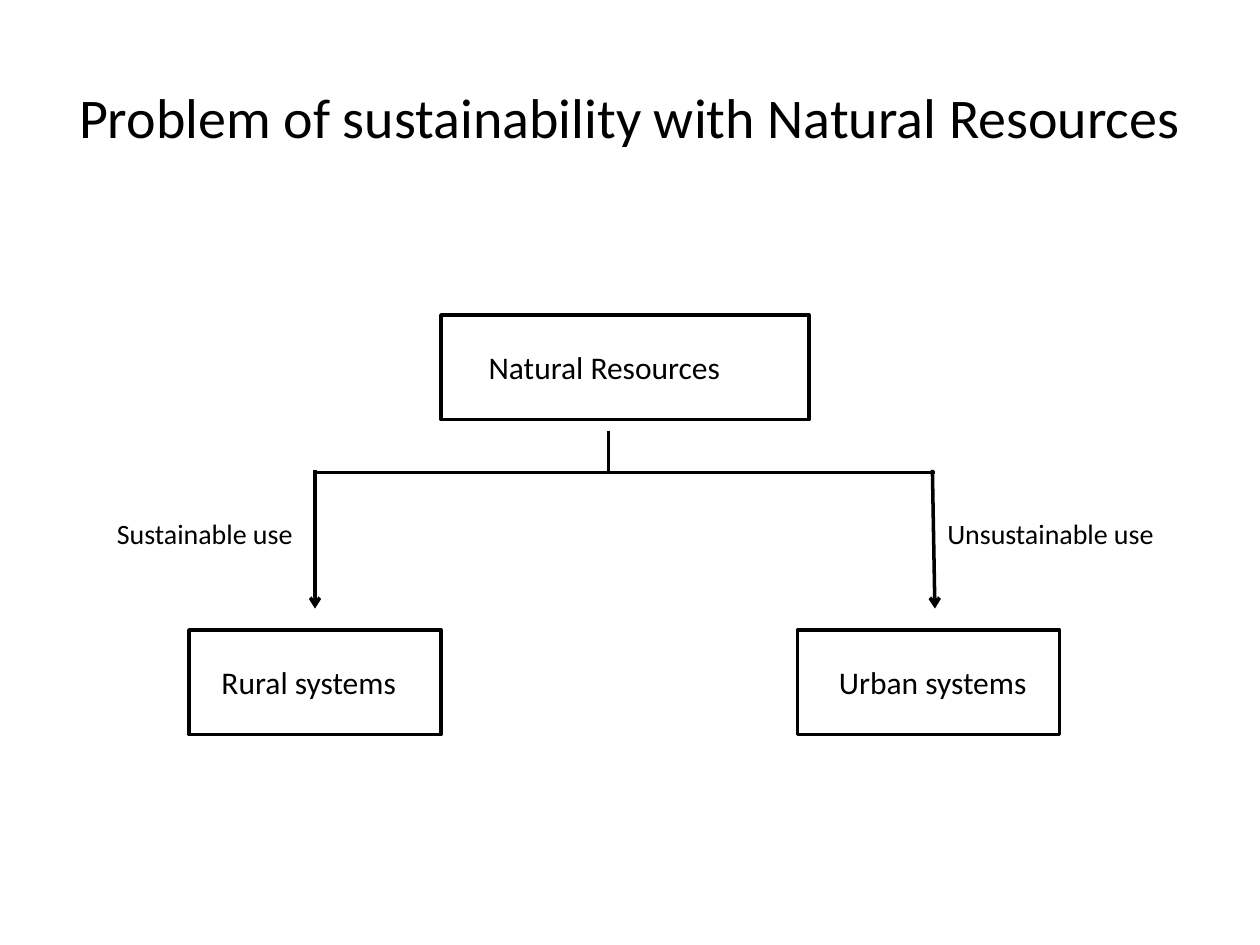
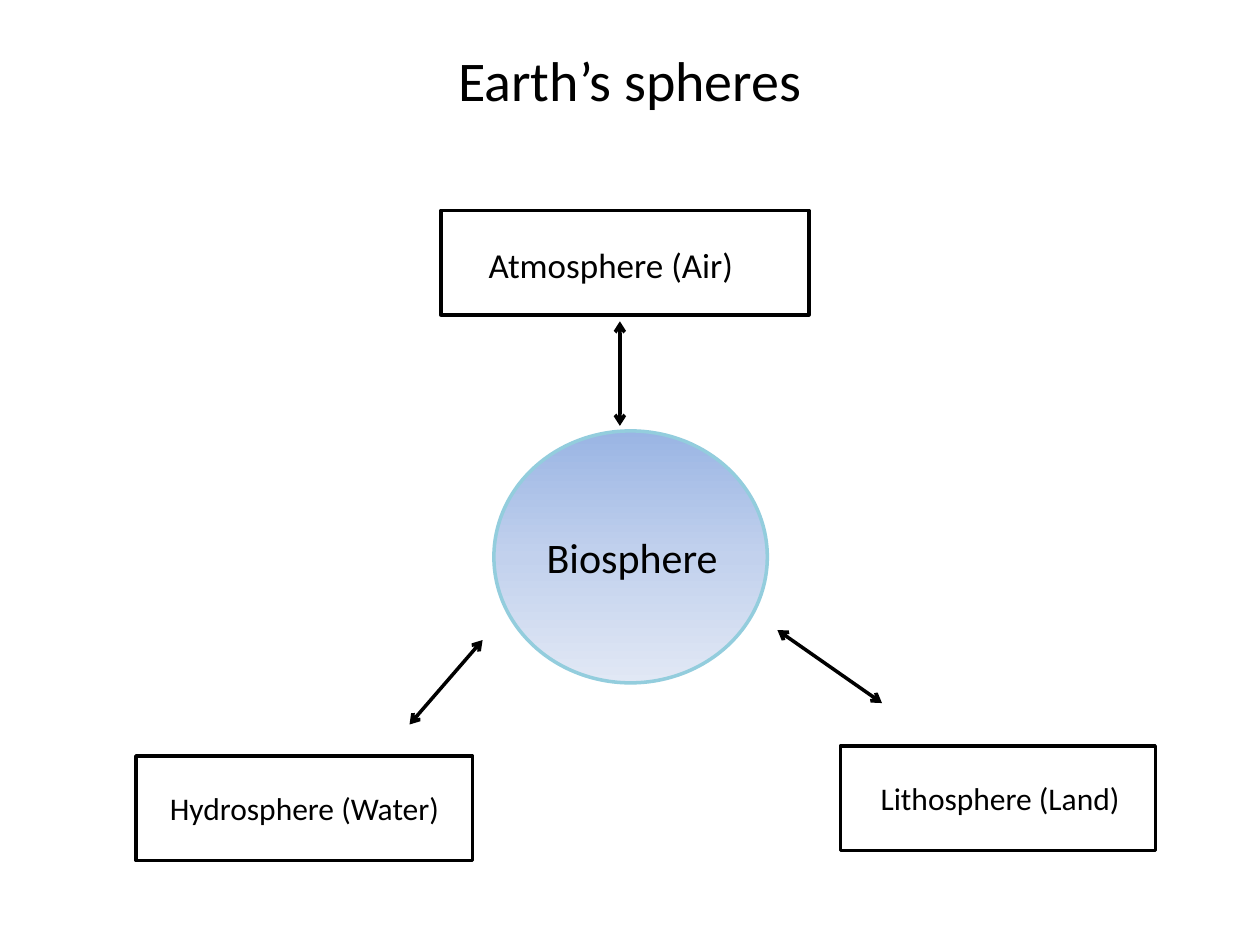
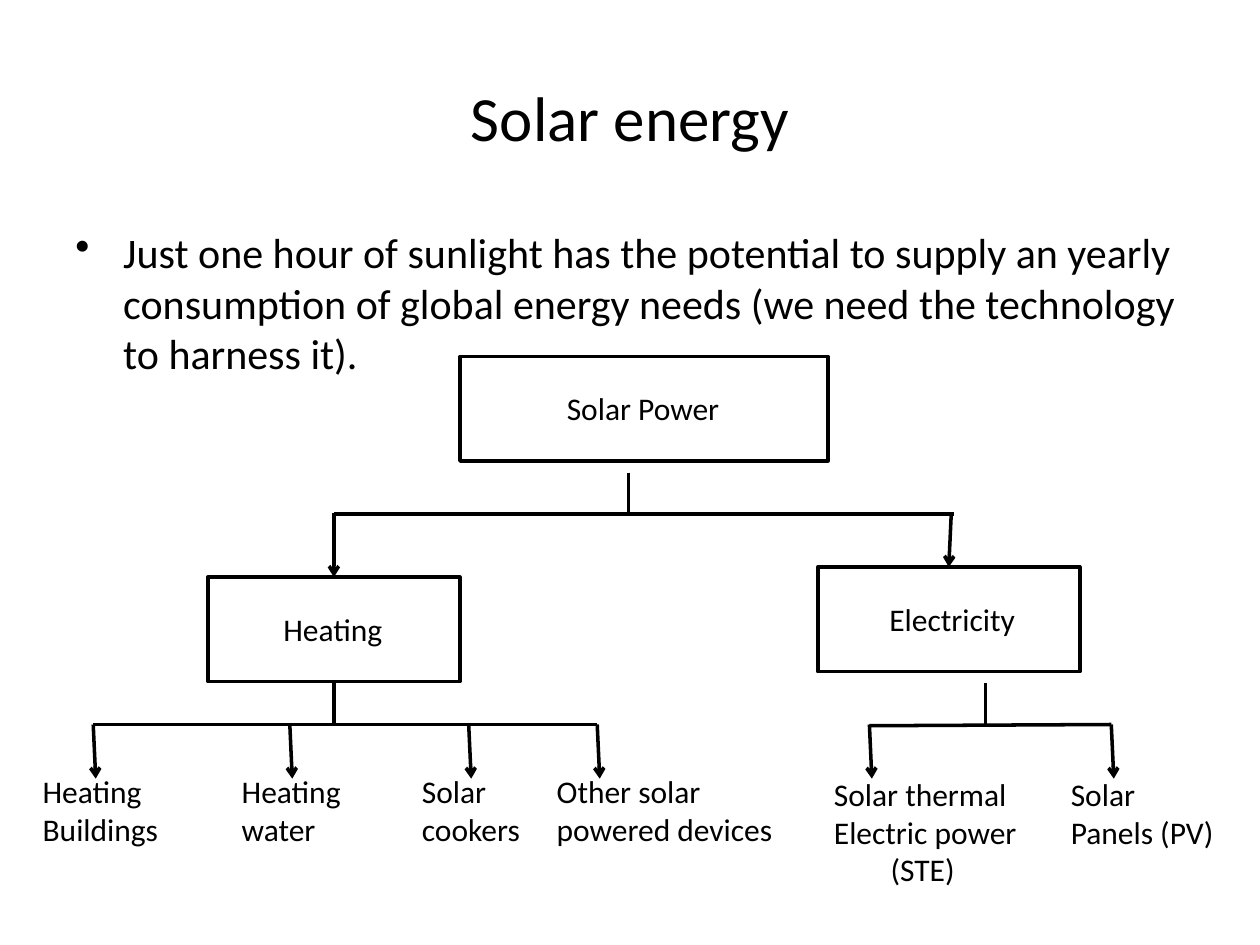
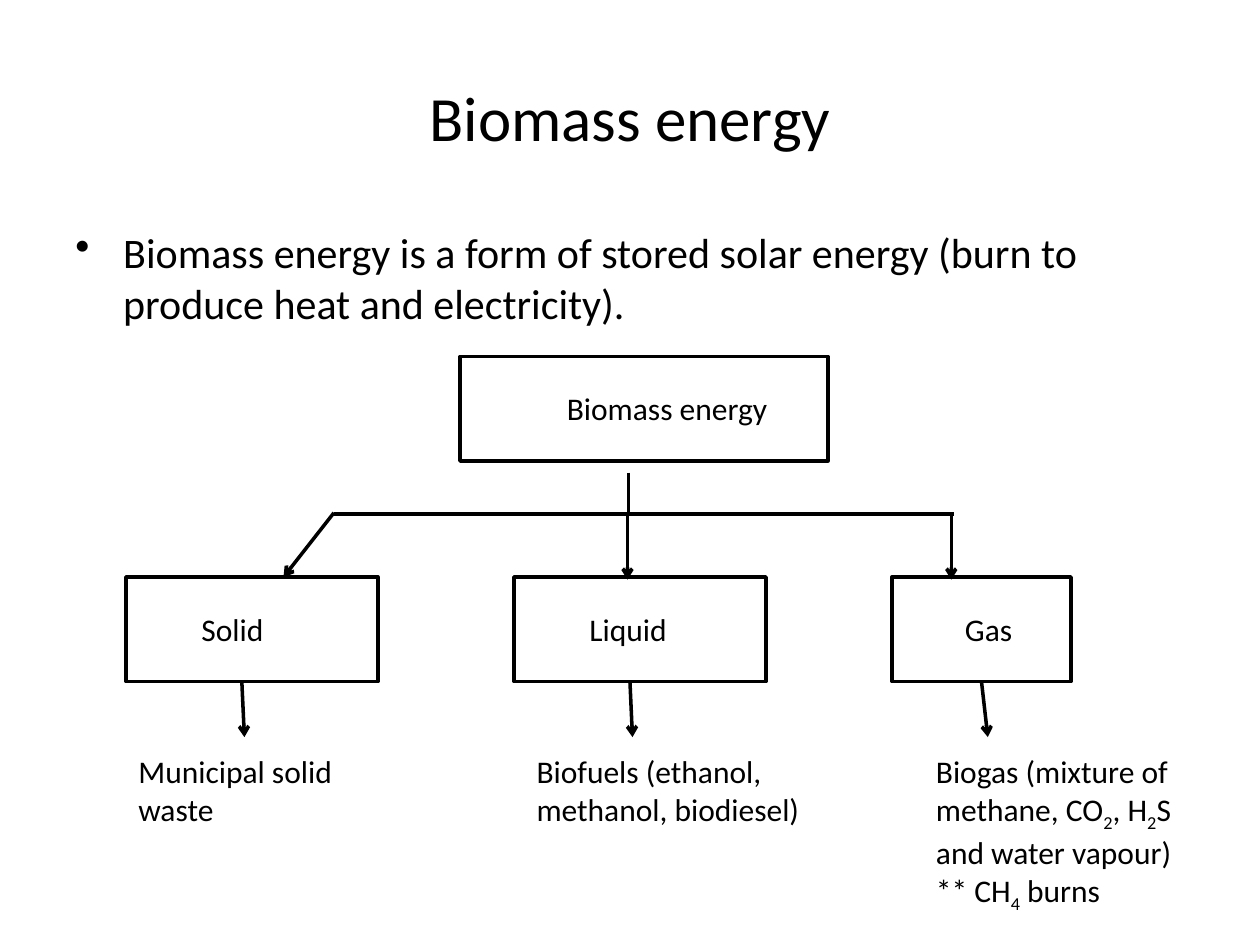
"""Build four slides on natural resources, Earth's spheres, solar and biomass energy."""
from copy import deepcopy
from math import dist

from pptx import Presentation
from pptx import util as u
from pptx.dml.color import RGBColor
from pptx.enum import shapes, text
from pptx.oxml.ns import qn
from pptx.oxml.xmlchemy import OxmlElement

FONT = "Calibri"
COLORS = {"ink": "000000", "rim": "93CDDD", "sky": "9AB5E4", "haze": "C2D1ED", "mist": "E1E8F5"}
BOX_HEIGHT = 0.83
JOIN_DISTANCE = 0.05


def write(frame, content, size=18, wrap=False, bullet=False, indents=None):
    """Fill a text frame; text between tildes is subscript."""
    frame.word_wrap = wrap
    for number, line in enumerate(content.split("\n")):
        paragraph = frame.paragraphs[0] if number == 0 else frame.add_paragraph()
        properties = paragraph._p.get_or_add_pPr()
        if bullet:
            properties.set("marL", str(u.Inches(0.38)))
            properties.set("indent", str(-u.Inches(0.38)))
            mark = OxmlElement("a:buChar")
            mark.set("char", "•")
            properties.append(mark)
        elif indents and number in indents:
            properties.set("marL", str(u.Inches(indents[number])))
        for part, words in enumerate(line.split("~")):
            run = paragraph.add_run()
            run.text = words
            run.font.name = FONT
            run.font.size = u.Pt(size)
            run.font.color.rgb = RGBColor.from_string(COLORS["ink"])
            if part % 2:
                run.font._element.set("baseline", "-25000")


def connect(slide, boxes, x1, y1, x2, y2, ends=()):
    """Draw a straight line, joined to any box side whose middle it touches."""
    line = slide.shapes.add_connector(
        shapes.MSO_CONNECTOR.STRAIGHT, *[u.Inches(v) for v in (x1, y1, x2, y2)])
    line.line.color.rgb = RGBColor.from_string(COLORS["ink"])
    line.line.width = u.Pt(2)
    outline = line.line._get_or_add_ln()
    for end in ends:
        arrow = OxmlElement(f"a:{end}")
        arrow.set("type", "arrow")
        outline.append(arrow)
    line._element.spPr.append(OxmlElement("a:effectLst"))
    for box, (x, y, width) in boxes:
        middles = [(x + width / 2, y), (x, y + BOX_HEIGHT / 2),
                   (x + width / 2, y + BOX_HEIGHT), (x + width, y + BOX_HEIGHT / 2)]
        for site, middle in enumerate(middles):
            if dist(middle, (x1, y1)) < JOIN_DISTANCE:
                line.begin_connect(box, site)
            if dist(middle, (x2, y2)) < JOIN_DISTANCE:
                line.end_connect(box, site)


ARROW = ("tailEnd",)
BOTH = ("headEnd", "tailEnd")

DECK = [
    {
        "title": ("Problem of sustainability with Natural Resources", 0.3, 32),
        "boxes": [
            (3.5, 2.5, 2.92, "Natural Resources", 3.78, 2.06, 18),
            (1.5, 5, 2, "Rural systems", 1.66, 1.74, 18),
            (6.33, 5, 2.08, "Urban systems", 6.56, 1.7, 18),
        ],
        "links": [
            (4.83, 3.42, 4.83, 3.75),
            (2.5, 3.75, 7.42, 3.75),
            (2.5, 3.73, 2.5, 4.83, ARROW),
            (7.4, 3.73, 7.42, 4.83, ARROW),
        ],
        "captions": [
            (0.83, 4.05, 1.67, "Sustainable use", {"size": 16, "wrap": True}),
            (7.42, 4.05, 2, "Unsustainable use", {"size": 16, "wrap": True}),
        ],
    },
    {
        "title": ("Earth’s spheres", 0, 32),
        "boxes": [
            (3.5, 1.67, 2.92, "Atmosphere (Air)", 3.78, 2.17, 20),
            (1.08, 6, 2.67, "Hydrosphere (Water)", 1.25, 2.36, 18),
            (6.67, 5.92, 2.5, "Lithosphere (Land)", 6.89, 2.12, 18),
        ],
        "sphere": (3.92, 3.42, 2.17, 2),
        "links": [
            (4.92, 2.55, 4.92, 3.38, BOTH),
            (6.17, 5, 7, 5.58, BOTH),
            (3.83, 5.08, 3.25, 5.75, BOTH),
        ],
        "captions": [(4.24, 4.17, 1.57, "Biosphere", {"size": 24})],
    },
    {
        "title": ("Solar energy", 0.3, 36),
        "point": "Just one hour of sunlight has the potential to supply an yearly consumption "
                 "of global energy needs (we need the technology to harness it).",
        "boxes": [
            (3.65, 2.83, 2.92, "Solar Power", 4.4, 1.42, 18),
            (1.65, 4.58, 2, "Heating", 2.15, 1, 18),
            (6.49, 4.5, 2.08, "Electricity", 6.96, 1.21, 18),
        ],
        "links": [
            (4.99, 3.75, 4.99, 4.08),
            (2.65, 4.08, 7.57, 4.08),
            (2.65, 4.07, 2.65, 4.58, ARROW),
            (7.55, 4.07, 7.57, 4.5, ARROW),
            (2.65, 5.42, 2.65, 5.75),
            (0.74, 5.75, 4.74, 5.75),
            (7.82, 5.42, 7.82, 5.75),
            (6.9, 5.76, 8.82, 5.75),
            *[(x, 5.75, x + 0.02, 6.18, ARROW) for x in (0.74, 2.3, 3.72, 4.74, 6.9, 8.82)],
        ],
        "captions": [
            (0.24, 6.08, 1.13, "Heating\nBuildings", {}),
            (1.82, 6.08, 1, "Heating\nwater", {}),
            (3.25, 6.08, 0.99, "Solar\ncookers", {}),
            (4.32, 6.08, 1.93, "Other solar\npowered devices", {}),
            (6.52, 6.1, 1.67, "Solar thermal\nElectric power\n(STE)", {"indents": {2: 0.45}}),
            (8.4, 6.1, 1.35, "Solar\nPanels (PV)", {}),
        ],
    },
    {
        "title": ("Biomass energy", 0.3, 36),
        "point": "Biomass energy is a form of stored solar energy "
                 "(burn to produce heat and electricity).",
        "boxes": [
            (3.65, 2.83, 2.92, "Biomass energy", 4.4, 1.81, 18),
            (1, 4.58, 2, "Solid", 1.5, 0.7, 18),
            (4.08, 4.58, 2, "Liquid", 4.58, 0.82, 18),
            (7.08, 4.58, 1.42, "Gas", 7.56, 0.58, 18),
        ],
        "links": [
            (4.99, 3.75, 4.99, 4.08),
            (2.65, 4.08, 7.57, 4.08),
            (2.65, 4.07, 2.25, 4.58, ARROW),
            *[(x, 4.08, x, 4.6, ARROW) for x in (4.98, 7.55)],
            *[(x, 5.42, x + 0.02, 5.85, ARROW) for x in (1.92, 5, 7.82)],
        ],
        "captions": [
            (1, 5.92, 1.76, "Municipal solid\nwaste", {}),
            (4.16, 5.92, 2.31, "Biofuels (ethanol,\nmethanol, biodiesel)", {}),
            (7.33, 5.92, 2.17, "Biogas (mixture of\nmethane, CO~2~, H~2~S\n"
                               "and water vapour)\n** CH~4~ burns", {}),
        ],
    },
]

deck = Presentation()
deck.slide_width, deck.slide_height = u.Inches(10), u.Inches(7.5)

for topic in DECK:
    slide = deck.slides.add_slide(deck.slide_layouts[5])
    heading, top, size = topic["title"]
    title = slide.shapes.title
    title.left, title.top, title.width, title.height = [u.Inches(v) for v in (0.5, top, 9, 1.25)]
    title.text_frame.vertical_anchor = text.MSO_ANCHOR.MIDDLE
    write(title.text_frame, heading, size=size, wrap=True)
    title.text_frame.paragraphs[0].alignment = text.PP_ALIGN.CENTER

    if "point" in topic:
        point = slide.shapes.add_textbox(*[u.Inches(v) for v in (0.5, 1.75, 9, 4.95)])
        write(point.text_frame, topic["point"], size=24, wrap=True, bullet=True)

    captions = list(topic["captions"])
    boxes = []
    for x, y, width, label, label_x, label_width, label_size in topic["boxes"]:
        box = slide.shapes.add_shape(
            shapes.MSO_SHAPE.RECTANGLE, *[u.Inches(v) for v in (x, y, width, BOX_HEIGHT)])
        box.shadow.inherit = False
        box.fill.background()
        box.line.color.rgb = RGBColor.from_string(COLORS["ink"])
        box.line.width = u.Pt(2)
        boxes.append((box, (x, y, width)))
        captions.append((label_x, y + 0.21, label_width, label, {"size": label_size}))

    if "sphere" in topic:
        sphere = slide.shapes.add_shape(
            shapes.MSO_SHAPE.OVAL, *[u.Inches(v) for v in topic["sphere"]])
        sphere.shadow.inherit = False
        sphere.line.color.rgb = RGBColor.from_string(COLORS["rim"])
        sphere.line.width = u.Pt(2)
        sphere.fill.gradient()
        sphere.fill.gradient_angle = 270
        stops = sphere._element.spPr.find(".//" + qn("a:gsLst"))
        stops.insert(1, deepcopy(stops[0]))
        for stop, position, shade in zip(
                sphere.fill.gradient_stops, (0, 0.5, 1), ("sky", "haze", "mist")):
            stop.position = position
            stop.color.rgb = RGBColor.from_string(COLORS[shade])

    for link in topic["links"]:
        connect(slide, boxes, *link)

    for x, y, width, words, style in captions:
        height = 0.1 + (words.count("\n") + 1) * style.get("size", 18) / 60
        caption = slide.shapes.add_textbox(*[u.Inches(v) for v in (x, y, width, height)])
        write(caption.text_frame, words, **style)
        caption.text_frame.auto_size = text.MSO_AUTO_SIZE.SHAPE_TO_FIT_TEXT

deck.save("out.pptx")
